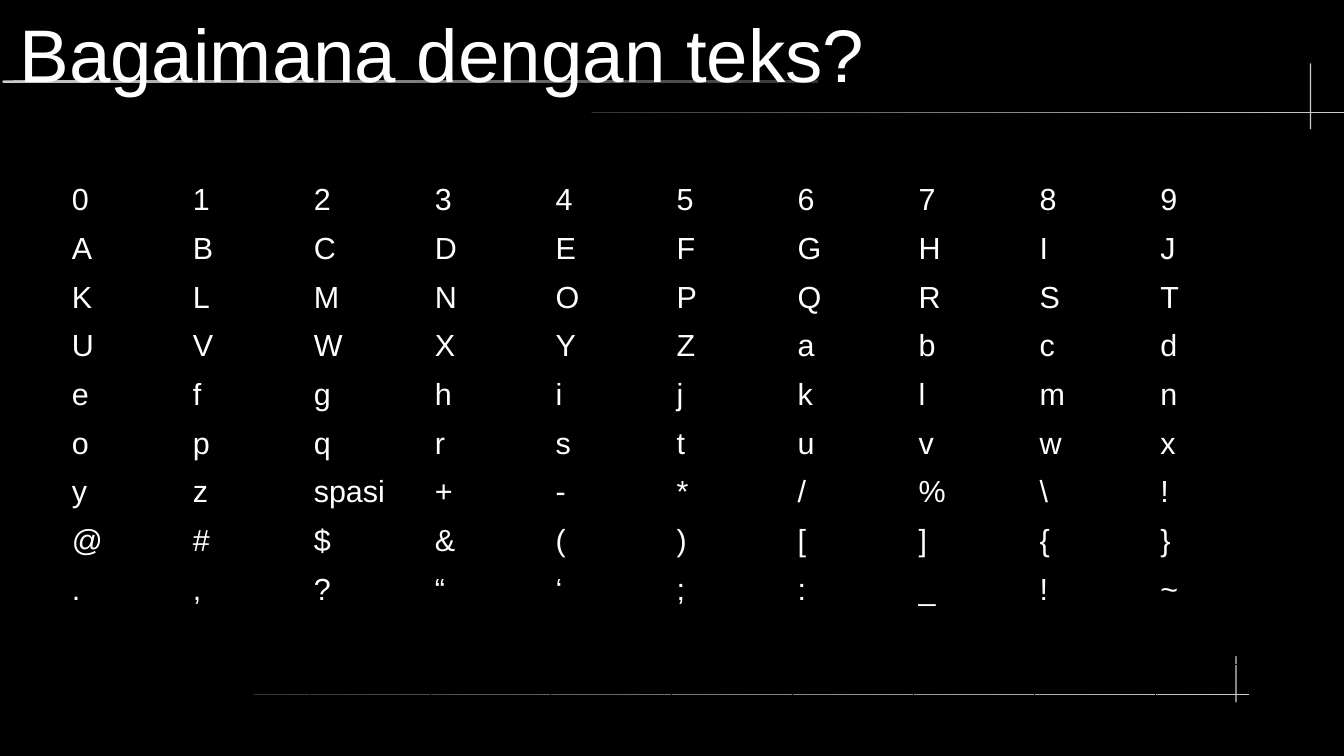
"""Build a slide that lists the characters found in text as a grid."""
from dataclasses import dataclass

from lxml.etree import SubElement
from pptx import Presentation
from pptx.dml.color import RGBColor
from pptx.enum.shapes import MSO_SHAPE as Shape
from pptx.enum.text import MSO_ANCHOR as Anchor
from pptx.oxml.ns import qn
from pptx.slide import Slide
from pptx.table import _Cell as Cell
from pptx.text.text import _Paragraph as Paragraph
from pptx.util import Inches, Length, Pt

COLOURS = {"background": "000000", "text": "FFFFFF", "bright": "CCCCCC", "dim": "333333"}
FONT = "Arial"
WIDTH, HEIGHT = Inches(11.02), Inches(6.2)
COLUMN, ROW = 9, 6.45
CHARACTERS = [
    "0 1 2 3 4 5 6 7 8 9",
    "A B C D E F G H I J",
    "K L M N O P Q R S T",
    "U V W X Y Z a b c d",
    "e f g h i j k l m n",
    "o p q r s t u v w x",
    "y z spasi + - * / % \\ !",
    "@ # $ & ( ) [ ] { }",
    ". , ? “ ‘ ; : _ ! ~",
    "",
    "",
]


@dataclass(frozen=True)
class Box:
    left: float
    top: float
    width: float
    height: float

    def lengths(self) -> tuple[Length, Length, Length, Length]:
        return (across(self.left), down(self.top), across(self.width), down(self.height))


@dataclass(frozen=True)
class Rule:
    box: Box
    start: str
    end: str


RULES = [
    Rule(Box(0.18, 10.65, 60.71, 0.32), "bright", "dim"),
    Rule(Box(44.01, 14.84, 55.99, 0.16), "dim", "bright"),
    Rule(Box(97.46, 8.39, 0.09, 8.71), "bright", "bright"),
    Rule(Box(18.87, 91.77, 74.05, 0.16), "dim", "bright"),
    Rule(Box(91.92, 86.77, 0.09, 6.13), "bright", "bright"),
]
TITLE = Box(1.45, 1.29, 94.65, 11.45)
GRID = Box(4.99, 23.39, 10 * COLUMN, len(CHARACTERS) * ROW)


def across(percent: float) -> Length:
    return Length(round(WIDTH * percent / 100))


def down(percent: float) -> Length:
    return Length(round(HEIGHT * percent / 100))


def colour(name: str) -> RGBColor:
    return RGBColor.from_string(COLOURS[name])


def add_text(paragraph: Paragraph, text: str, size: int) -> None:
    run = paragraph.add_run()
    run.text = text
    run.font.name = FONT
    run.font.size = Pt(size)
    run.font.color.rgb = colour("text")


def draw_rule(slide: Slide, rule: Rule) -> None:
    shape = slide.shapes.add_shape(Shape.ROUNDED_RECTANGLE, *rule.box.lengths())
    shape.adjustments[0] = 0.5
    shape.shadow.inherit = False
    shape.line.fill.background()
    if rule.start == rule.end:
        shape.fill.solid()
        shape.fill.fore_color.rgb = colour(rule.start)
        return
    shape.fill.gradient()
    shape.fill.gradient_angle = 0
    for stop, name, position in zip(shape.fill.gradient_stops, (rule.start, rule.end), (0, 1)):
        stop.color.rgb = colour(name)
        stop.position = position


def style_cell(cell: Cell) -> None:
    cell.margin_left = cell.margin_right = Inches(0.04)
    cell.margin_top = cell.margin_bottom = Inches(0.05)
    cell.vertical_anchor = Anchor.TOP
    properties = cell._tc.get_or_add_tcPr()
    for side in ("a:lnL", "a:lnR", "a:lnT", "a:lnB"):
        border = SubElement(properties, qn(side), w=str(Pt(0.57)))
        fill = SubElement(border, qn("a:solidFill"))
        SubElement(fill, qn("a:srgbClr"), val=COLOURS["background"])
    cell.fill.background()


def draw_grid(slide: Slide) -> None:
    table = slide.shapes.add_table(len(CHARACTERS), 10, *GRID.lengths()).table
    table.first_row = table.horz_banding = False
    for column in table.columns:
        column.width = across(COLUMN)
    for row, line in zip(table.rows, CHARACTERS):
        row.height = down(ROW)
        for cell in row.cells:
            style_cell(cell)
        for cell, character in zip(row.cells, line.split()):
            add_text(cell.text_frame.paragraphs[0], character, 18)


def draw_title(slide: Slide) -> None:
    frame = slide.shapes.add_textbox(*TITLE.lengths()).text_frame
    frame.word_wrap = True
    frame.vertical_anchor = Anchor.MIDDLE
    frame.margin_left = frame.margin_right = frame.margin_top = frame.margin_bottom = 0
    add_text(frame.paragraphs[0], "Bagaimana dengan teks?", 44)


def main() -> None:
    presentation = Presentation()
    presentation.slide_width, presentation.slide_height = WIDTH, HEIGHT
    slide = presentation.slides.add_slide(presentation.slide_layouts[6])
    slide.background.fill.solid()
    slide.background.fill.fore_color.rgb = colour("background")
    for rule in RULES:
        draw_rule(slide, rule)
    draw_grid(slide)
    draw_title(slide)
    presentation.save("out.pptx")


if __name__ == "__main__":
    main()
